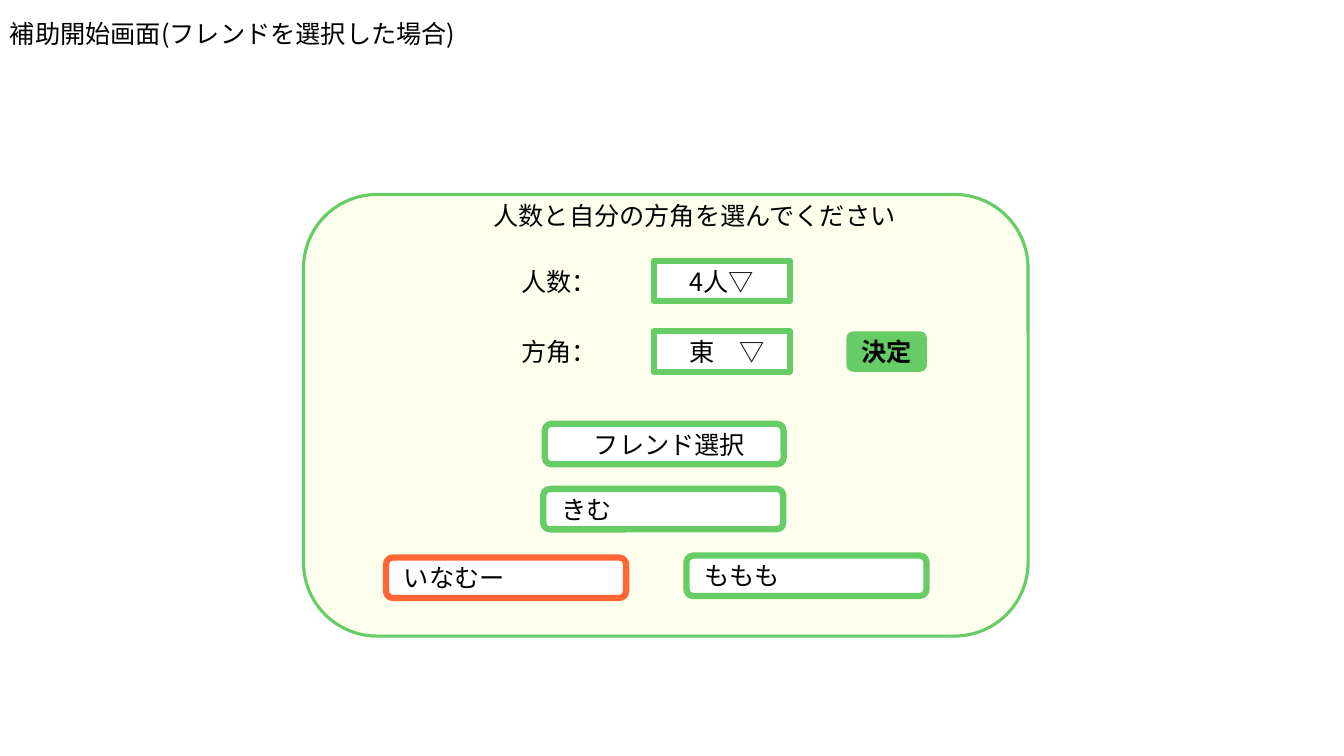
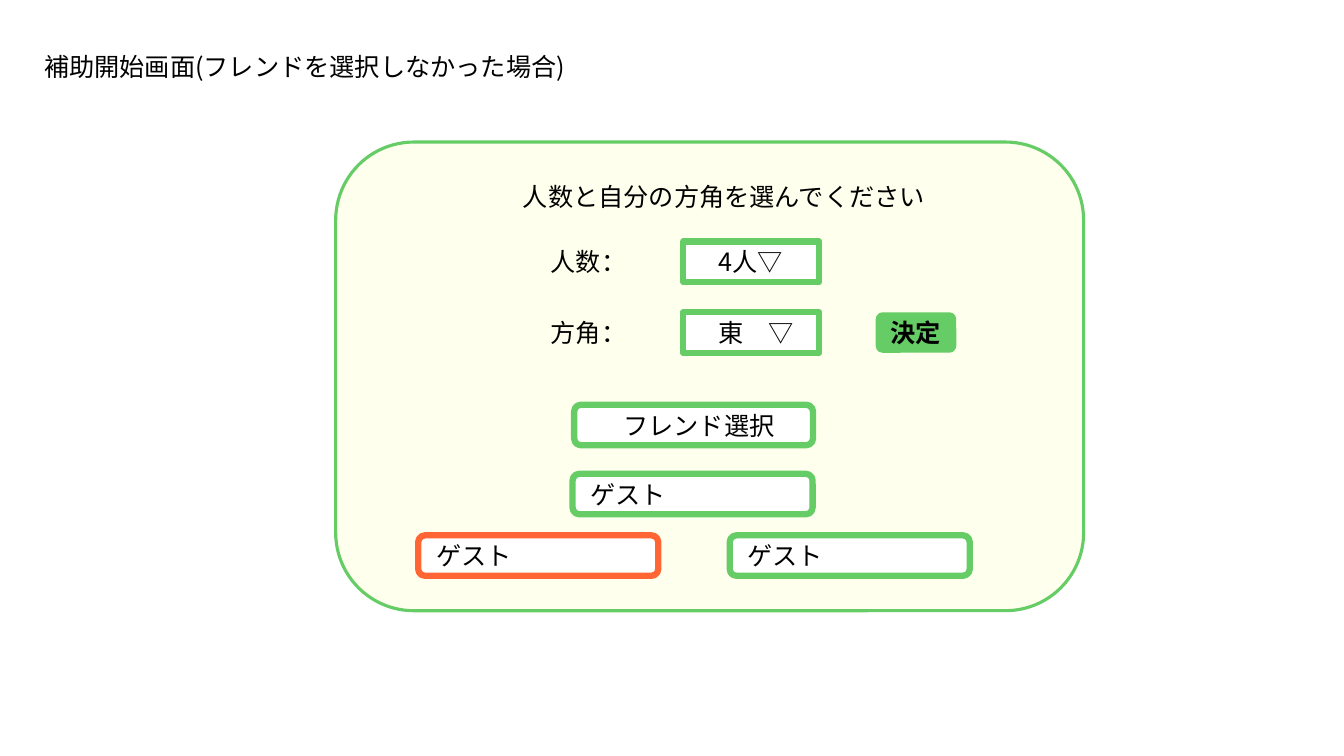
from pptx import Presentation
from pptx.dml.color import RGBColor
from pptx.enum.shapes import MSO_SHAPE as Kind
from pptx.enum.text import MSO_ANCHOR as Anchor, MSO_AUTO_SIZE as Fit, PP_ALIGN as Align
from pptx.oxml.ns import qn
from pptx.util import Cm, Pt

GREEN = RGBColor(0x66, 0xCC, 0x66)
RED = RGBColor(0xFF, 0x66, 0x33)
CREAM = RGBColor(0xFF, 0xFF, 0xEE)
WHITE = RGBColor(0xFF, 0xFF, 0xFF)
BLACK = RGBColor(0, 0, 0)
FONT = "Noto Sans CJK JP"
HIGH = 1.02
ROW = 1.78

PAGES = [
    dict(title="補助開始画面(フレンドを選択した場合)", place=(0, 0.33, 11.91),
         panel=(7.65, 4.9, 18.26, 11.13), form=(12.19, 4.93),
         names=[("きむ", 13.69, 12.32, GREEN), ("いなむー", 9.73, 14.05, RED),
                ("ももも", 17.3, 14, GREEN)]),
    dict(title="補助開始画面(フレンドを選択しなかった場合)", place=(0.86, 1.17, 15.21),
         panel=(8.46, 3.58, 18.85, 11.81), form=(12.93, 4.45),
         names=[("ゲスト", 14.43, 11.94, GREEN), ("ゲスト", 10.54, 13.49, RED),
                ("ゲスト", 18.39, 13.49, GREEN)]),
]


def write(shape, text, bold=False, align=Align.LEFT, anchor=Anchor.MIDDLE, inset=0.25):
    """Put formatted text into a shape."""
    frame = shape.text_frame
    frame.word_wrap = True
    frame.auto_size = Fit.NONE
    frame.vertical_anchor = anchor
    frame.margin_left = Cm(inset)
    frame.margin_right = Cm(0.25)
    frame.margin_top = frame.margin_bottom = Cm(0.13)
    line = frame.paragraphs[0]
    line.alignment = align
    run = line.add_run()
    run.text = text
    font = run.font
    font.name, font.size, font.bold = FONT, Pt(18), bold
    font.color.rgb = BLACK
    east = run._r.get_or_add_rPr().makeelement(qn("a:ea"), {"typeface": FONT})
    font._element.find(qn("a:latin")).addnext(east)


def label(slide, text, left, top, width):
    """Add a line of plain text."""
    write(slide.shapes.add_textbox(Cm(left), Cm(top), Cm(width), Cm(HIGH)), text)


def box(slide, left, top, width, high=HIGH, kind=Kind.ROUNDED_RECTANGLE,
        fill=WHITE, edge=GREEN, weight=4.5):
    """Add a filled box, with an outline if an edge colour is given."""
    shape = slide.shapes.add_shape(kind, Cm(left), Cm(top), Cm(width), Cm(high))
    shape.shadow.inherit = False
    shape.fill.solid()
    shape.fill.fore_color.rgb = fill
    if edge is None:
        shape.line.fill.background()
    else:
        shape.line.color.rgb = edge
        shape.line.width = Pt(weight)
    return shape


def head(slide, text, left, top, width):
    """Place and format the slide title."""
    title = slide.shapes.title
    title.left, title.top, title.width, title.height = Cm(left), Cm(top), Cm(width), Cm(HIGH)
    write(title, text, anchor=Anchor.TOP)


def form(slide, left, top):
    """Add the prompt, the two selects and the buttons."""
    label(slide, "人数と自分の方角を選んでください", left, top, 11.18)
    first = top + 1.64
    for i, (name, value) in enumerate([("人数：", "4人▽"), ("方角：", "東　▽")]):
        y = first + i * ROW
        label(slide, name, left + 0.7, y, 2.72)
        write(box(slide, left + 4.29, y, 3.43, kind=Kind.RECTANGLE), value, inset=0.89)
    write(box(slide, left + 9.14, first + ROW, 2.03, fill=GREEN, edge=None),
          "決定", bold=True, align=Align.CENTER)
    write(box(slide, left + 1.54, top + 5.75, 6.02), "フレンド選択", inset=1.19)


def main():
    """Build and save the slides."""
    deck = Presentation()
    deck.slide_width, deck.slide_height = Cm(33.87), Cm(19.05)
    for page in PAGES:
        slide = deck.slides.add_slide(deck.slide_layouts[5])
        head(slide, page["title"], *page["place"])
        box(slide, *page["panel"], fill=CREAM, weight=2.25)
        form(slide, *page["form"])
        for name, left, top, edge in page["names"]:
            write(box(slide, left, top, 6.05, edge=edge), name, inset=0.4)
    deck.save("out.pptx")


if __name__ == "__main__":
    main()
